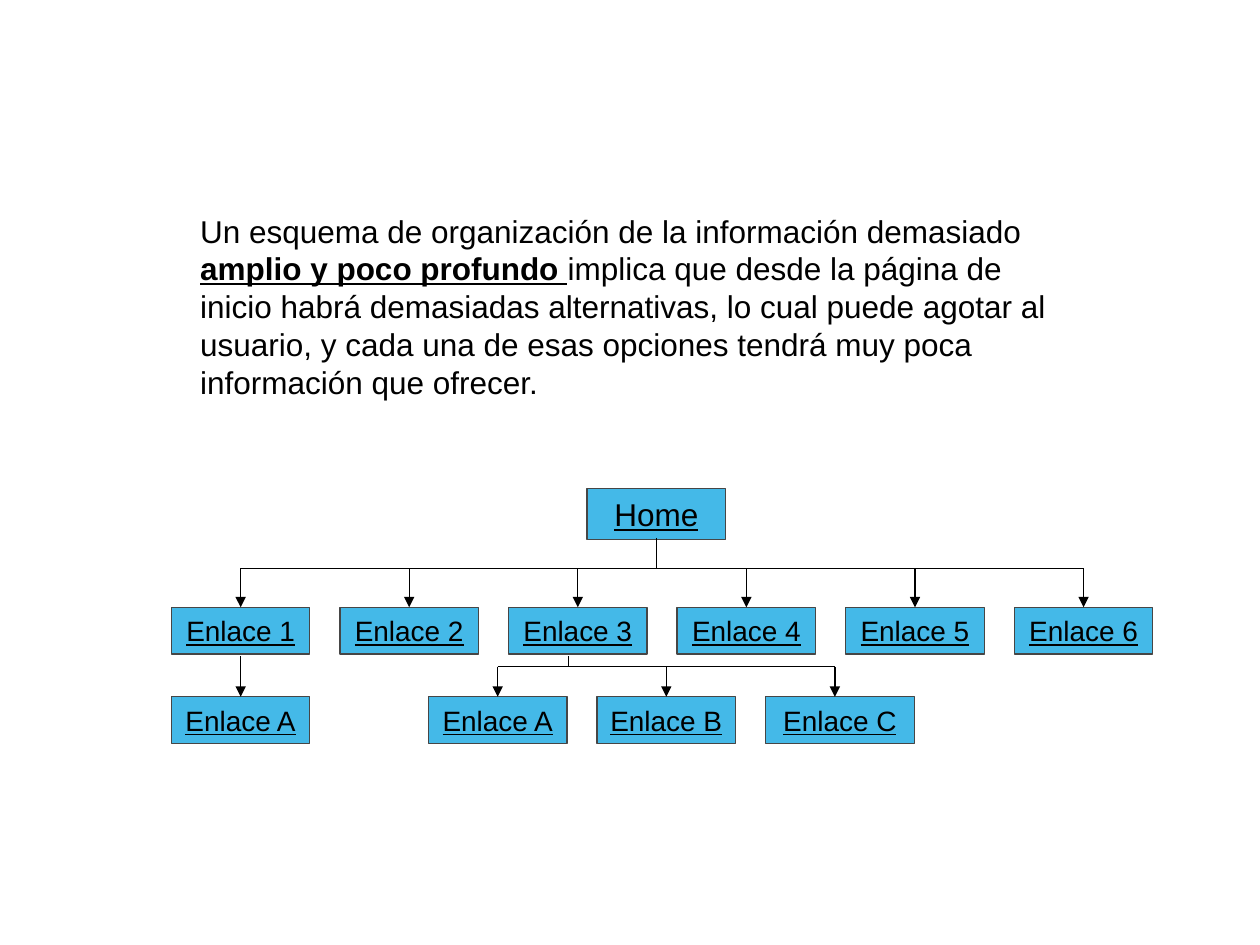
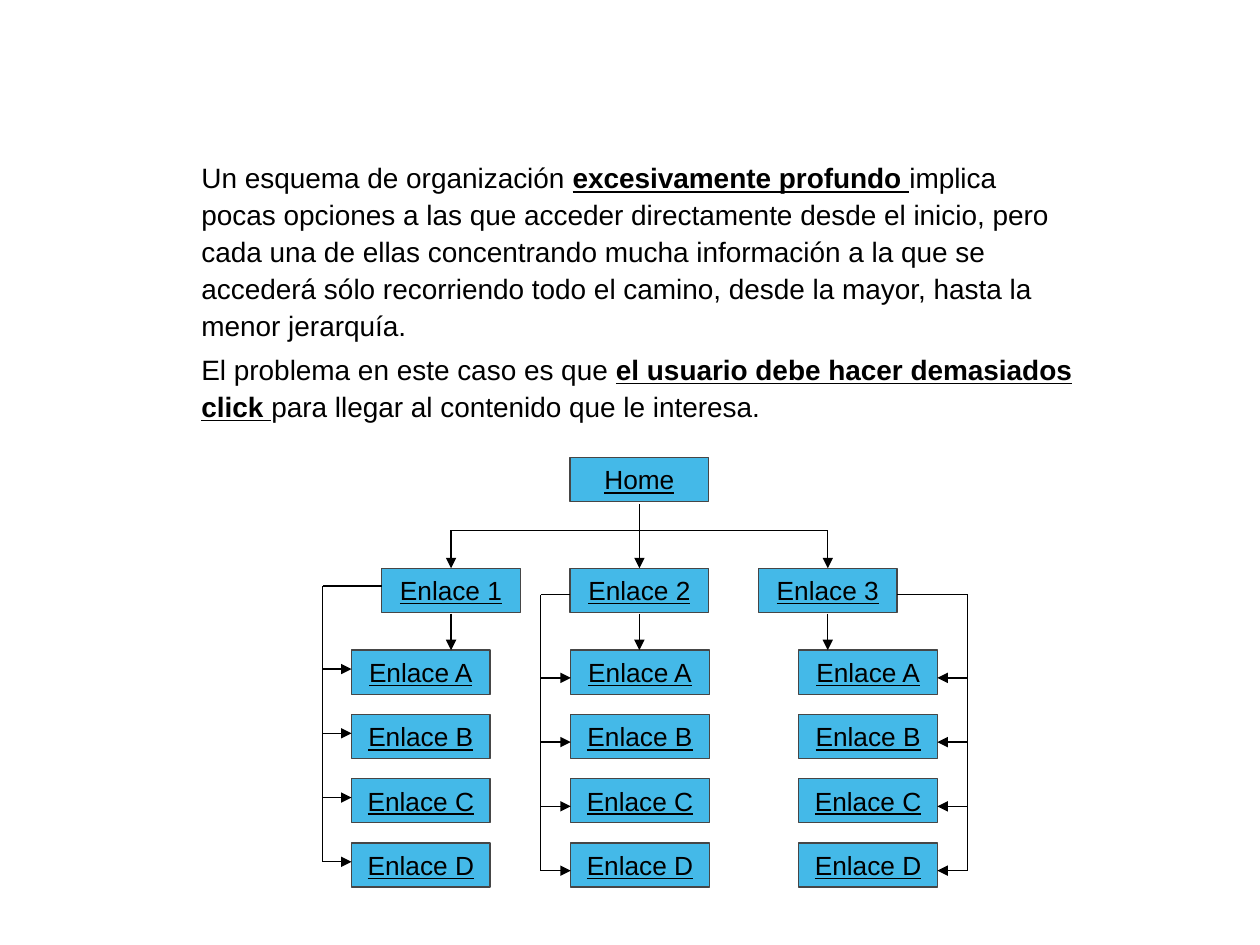
from lxml.etree import SubElement
from pptx import Presentation
from pptx.dml.color import RGBColor
from pptx.enum.shapes import MSO_CONNECTOR as Connector, MSO_SHAPE as Preset
from pptx.enum.text import MSO_ANCHOR as Anchor, PP_ALIGN as Align
from pptx.oxml.ns import qn
from pptx.util import Inches, Pt


def color(code):
    return RGBColor.from_string(code)


def apply(target, values):
    for name, value in values.items():
        setattr(target, name, value)


class SiteMapDeck:
    FONT = "Arial"
    INK = "000000"
    BOX_FILL = "44B9E8"
    BOX_EDGE = "464646"
    LINE_WIDTH = Pt(0.75)
    BOX_WIDTH = 1.1

    def __init__(self):
        self.deck = Presentation()
        apply(self.deck, {"slide_width": Inches(10), "slide_height": Inches(7.5)})
        self.slide = None

    def new_slide(self):
        self.slide = self.deck.slides.add_slide(self.deck.slide_layouts[6])

    def add_words(self, paragraph, words, size, **emphasis):
        run = paragraph.add_run()
        run.text = words
        apply(run.font, {"name": self.FONT, "size": Pt(size), **emphasis})
        run.font.color.rgb = color(self.INK)

    def explanation(self, left, top, width, height, size, paragraphs,
                    line_spacing=1.0, gap=0):
        area = self.slide.shapes.add_textbox(
            Inches(left), Inches(top), Inches(width), Inches(height))
        frame = area.text_frame
        frame.word_wrap = True
        for index, parts in enumerate(paragraphs):
            paragraph = frame.add_paragraph() if index else frame.paragraphs[0]
            apply(paragraph, {"line_spacing": line_spacing,
                              "space_before": Pt(gap if index else 0)})
            for position, words in enumerate(parts):
                stressed = position % 2 == 1
                self.add_words(paragraph, words, size, bold=stressed, underline=stressed)

    def page_box(self, label, left, top, height, size, width=BOX_WIDTH):
        box = self.slide.shapes.add_shape(
            Preset.RECTANGLE, Inches(left), Inches(top), Inches(width), Inches(height))
        box.shadow.inherit = False
        box.fill.solid()
        box.fill.fore_color.rgb = color(self.BOX_FILL)
        box.line.color.rgb = color(self.BOX_EDGE)
        box.line.width = self.LINE_WIDTH
        apply(box.text_frame, {"word_wrap": False, "vertical_anchor": Anchor.MIDDLE})
        paragraph = box.text_frame.paragraphs[0]
        paragraph.alignment = Align.CENTER
        self.add_words(paragraph, label, size, underline=True)

    def line(self, x1, y1, x2, y2, arrow=False):
        link = self.slide.shapes.add_connector(
            Connector.STRAIGHT, Inches(x1), Inches(y1), Inches(x2), Inches(y2))
        link.line.color.rgb = color(self.INK)
        link.line.width = self.LINE_WIDTH
        properties = link._element.spPr
        if arrow:
            SubElement(properties.find(qn("a:ln")), qn("a:tailEnd"), type="triangle")
        SubElement(properties, qn("a:effectLst"))

    def fan(self, parent_x, parent_y, bus_y, child_y, child_xs):
        self.line(parent_x, parent_y, parent_x, bus_y)
        self.line(child_xs[0], bus_y, child_xs[-1], bus_y)
        for x in child_xs:
            self.line(x, bus_y, x, child_y, arrow=True)

    def bracket(self, parent_x, parent_y, rail_x, child_x, child_ys):
        self.line(parent_x, parent_y, rail_x, parent_y)
        self.line(rail_x, parent_y, rail_x, child_ys[-1])
        for y in child_ys:
            self.line(rail_x, y, child_x, y, arrow=True)


def wide_scheme(deck):
    deck.new_slide()
    deck.explanation(1.49, 1.63, 7.11, 1.9, 18, [(
        "Un esquema de organización de la información demasiado ",
        "amplio y poco profundo ",
        "implica que desde la página de inicio habrá demasiadas alternativas, "
        "lo cual puede agotar al usuario, y cada una de esas opciones tendrá "
        "muy poca información que ofrecer.",
    )])

    half = deck.BOX_WIDTH / 2
    pitch = (8.05 - 1.36) / 5
    links = [1.36 + pitch * i for i in range(6)]
    sublinks = [3.4 + pitch * i for i in range(3)]
    link_top, sublink_top, height, size = 4.82, 5.53, 0.37, 16

    deck.page_box("Home", 4.66, 3.88, 0.4, 18)
    for number, left in enumerate(links, 1):
        deck.page_box(f"Enlace {number}", left, link_top, height, size)
    deck.fan(5.21, 4.27, 4.51, link_top, [left + half for left in links])

    deck.page_box("Enlace A", links[0], sublink_top, height, size)
    deck.line(links[0] + half, 5.21, links[0] + half, sublink_top, arrow=True)

    for letter, left, width in zip("ABC", sublinks, (1.1, 1.1, 1.18)):
        deck.page_box(f"Enlace {letter}", left, sublink_top, height, size, width)
    deck.fan(4.51, 5.21, 5.29, sublink_top, [left + half for left in sublinks])


def deep_scheme(deck):
    deck.new_slide()
    deck.explanation(1.5, 1.2, 7.11, 2.48, 16, [
        (
            "Un esquema de organización ",
            "excesivamente profundo ",
            "implica pocas opciones a las que acceder directamente desde el "
            "inicio, pero cada una de ellas concentrando mucha información a la "
            "que se accederá sólo recorriendo todo el camino, desde la mayor, "
            "hasta la menor jerarquía.",
        ),
        (
            "El problema en este caso es que ",
            "el usuario debe hacer demasiados click ",
            "para llegar al contenido que le interesa.",
        ),
    ], line_spacing=1.1, gap=4)

    half = deck.BOX_WIDTH / 2
    pitch = (6.02 - 3.03) / 2
    links = [3.03 + pitch * i for i in range(3)]
    centers = [left + half for left in links]
    sublink_tops = [5.16 + 0.51 * i for i in range(4)]
    link_top, height, size = 4.51, 0.35, 15

    deck.page_box("Home", links[1], 3.63, height, size)
    deck.fan(centers[1], 4, 4.21, link_top, centers)

    branches = [
        (2.79, links[0], 2.56, 2.79, 0.15),
        (4.53, links[1], 4.29, 4.53, 0.22),
        (6.34, links[2] + deck.BOX_WIDTH, 7.68, 7.44, 0.22),
    ]
    for number, (link, center, branch) in enumerate(zip(links, centers, branches), 1):
        column, link_edge, rail, sublink_edge, drop = branch
        deck.page_box(f"Enlace {number}", link, link_top, height, size)
        for letter, top in zip("ABCD", sublink_tops):
            deck.page_box(f"Enlace {letter}", column, top, height, size)
        deck.line(center, 4.87, center, sublink_tops[0], arrow=True)
        deck.bracket(link_edge, link_top + drop - 0.01, rail, sublink_edge,
                     [top + drop for top in sublink_tops])


def main():
    site_maps = SiteMapDeck()
    wide_scheme(site_maps)
    deep_scheme(site_maps)
    site_maps.deck.save("out.pptx")


if __name__ == "__main__":
    main()
